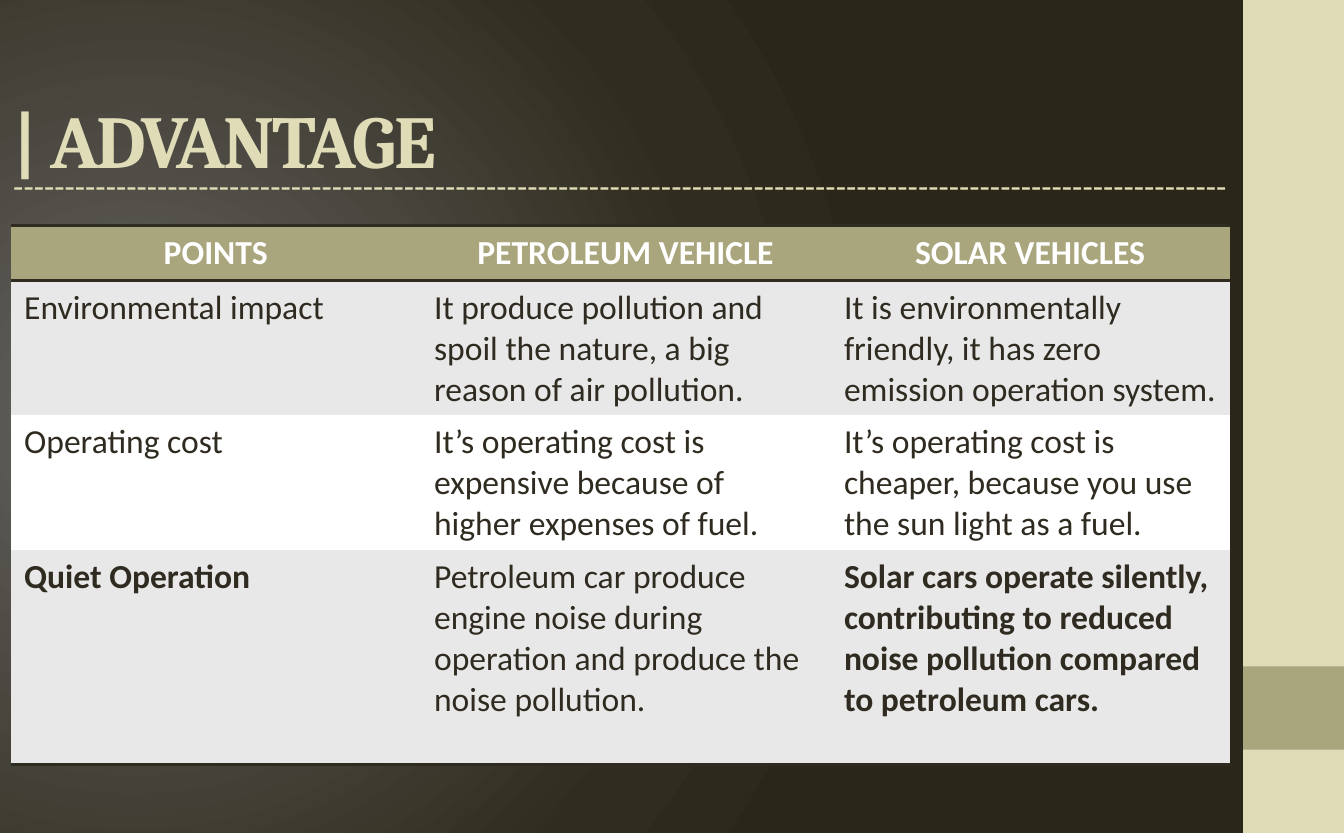
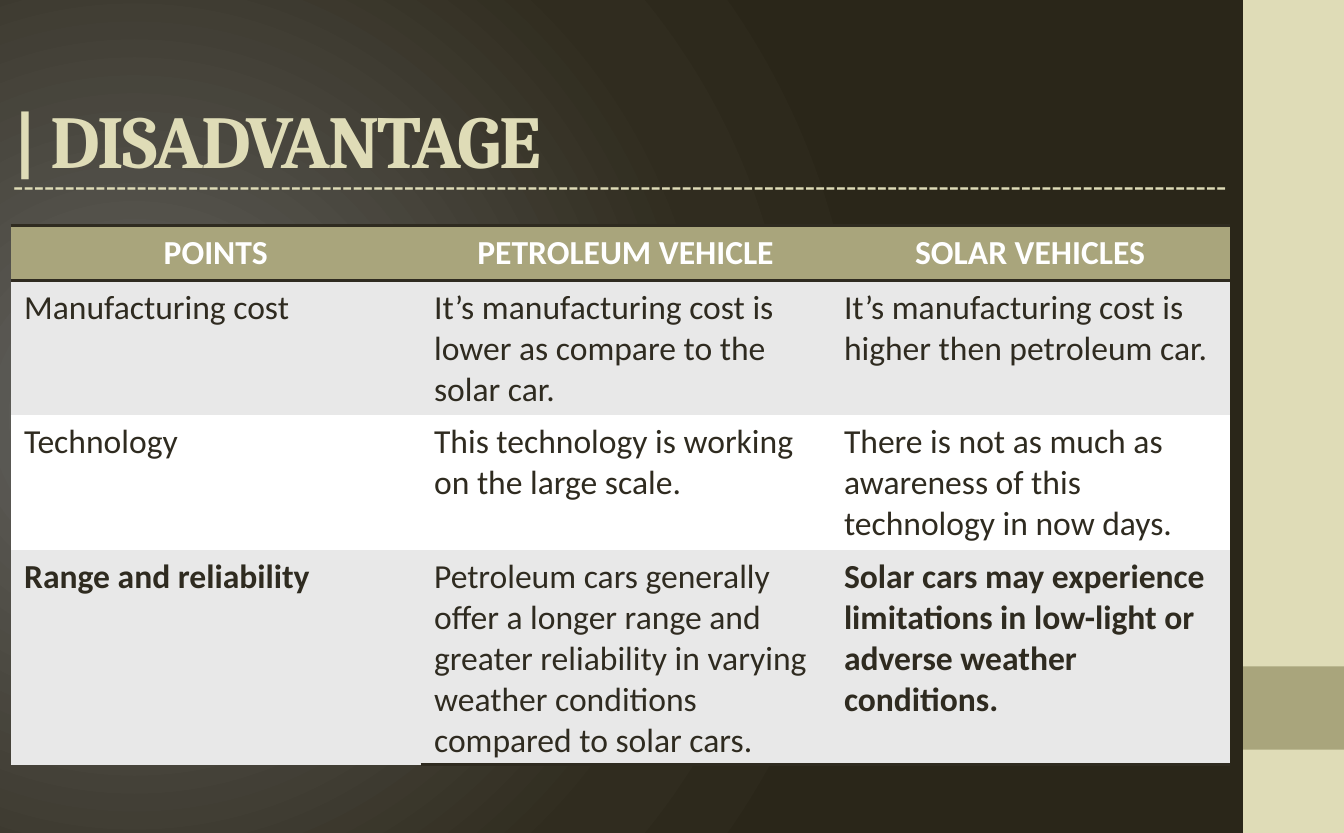
"""Build two slides that compare petroleum and solar vehicles in tables."""
from pptx import Presentation, util as u
from pptx.dml.color import RGBColor
from pptx.enum import shapes, text
from pptx.oxml import parse_xml
from pptx.oxml.ns import nsdecls, qn

PX = 9144
CREAM, OLIVE, DARK = "DFDCB7", "A9A57C", "2F2B20"
GREY, WHITE = "E8E8E8", "FFFFFF"
COLS = [305, 305, 297]
ROWS = [41, 100, 100, 160]
HEAD = ["POINTS", "PETROLEUM VEHICLE", "SOLAR VEHICLES"]
BANDS = [(0, 620, CREAM), (496, 62, OLIVE)]
FILLS = [OLIVE, GREY, WHITE, GREY]
BOLD = {(0, 0), (0, 1), (0, 2), (3, 0), (3, 2)}
EDGES = {0: ["lnB", "lnT"], 3: ["lnB"]}

DECK = [
    ("| ADVANTAGE", [
        ["Environmental impact",
         "It produce pollution and spoil the nature, a big reason of air pollution.",
         "It is environmentally friendly, it has zero emission operation system."],
        ["Operating cost",
         "It’s operating cost is expensive because of higher expenses of fuel.",
         "It’s operating cost is cheaper, because you use the sun light as a fuel."],
        ["Quiet Operation",
         "Petroleum car produce engine noise during operation and produce the noise pollution.",
         "Solar cars operate silently, contributing to reduced noise pollution compared to petroleum cars."],
    ], set()),
    ("| DISADVANTAGE", [
        ["Manufacturing cost",
         "It’s manufacturing cost is lower as compare to the solar car.",
         "It’s manufacturing cost is higher then petroleum car."],
        ["Technology",
         "This technology is working on the large scale.",
         "There is not as much as awareness of this technology in now days."],
        ["Range and reliability",
         "Petroleum cars generally offer a longer range and greater reliability in varying weather conditions compared to solar cars.",
         "Solar cars may experience limitations in low-light or adverse weather conditions."],
    ], {(3, 0)}),
]


def paint(fill, tone):
    fill.solid()
    fill.fore_color.rgb = RGBColor.from_string(tone)


def write(frame, words, size, face, tone, bold=False, align=text.PP_ALIGN.LEFT):
    frame.text = words
    para = frame.paragraphs[0]
    para.alignment = align
    font = para.runs[0].font
    font.size, font.name, font.bold = u.Pt(size), face, bold
    paint(font.fill, tone)
    return font


deck = Presentation()
deck.slide_width, deck.slide_height = 1000 * PX, 620 * PX

back = deck.slide_master
back.background.fill.gradient()
grad = back.element.find(".//" + qn("a:gradFill"))
stops = "".join(
    f'<a:gs pos="{pos}000"><a:srgbClr val="{tone}"/></a:gs>'
    for pos, tone in [(0, "656461"), (75, "302C1F"), (100, "2A2619")])
grad.getparent().replace(grad, parse_xml(
    f'<a:gradFill {nsdecls("a")} rotWithShape="1"><a:gsLst>{stops}</a:gsLst>'
    '<a:path path="circle"><a:fillToRect l="20000" t="50000" r="100000" b="50000"/>'
    '</a:path></a:gradFill>'))

for name, body, bare in DECK:
    slide = deck.slides.add_slide(deck.slide_layouts[5])
    for top, tall, tone in BANDS:
        band = slide.shapes.add_shape(
            shapes.MSO_SHAPE.RECTANGLE, 925 * PX, top * PX, 75 * PX, tall * PX)
        band.shadow.inherit = False
        paint(band.fill, tone)
        band.line.fill.background()

    title = slide.shapes.title
    title.left, title.top, title.width, title.height = 0, 52 * PX, 925 * PX, 103 * PX
    frame = title.text_frame
    font = write(frame, name, 40, "Cambria", CREAM, True)
    frame.vertical_anchor = text.MSO_ANCHOR.MIDDLE
    frame.auto_size = text.MSO_AUTO_SIZE.NONE
    font._element.set("spc", "-100")

    rule = slide.shapes.add_textbox(0, 118 * PX, 925 * PX, 40 * PX).text_frame
    rule.word_wrap = True
    rule.auto_size = text.MSO_AUTO_SIZE.SHAPE_TO_FIT_TEXT
    write(rule, "-" * 118, 18, "Calibri", CREAM)

    grid = slide.shapes.add_table(
        len(ROWS), len(COLS), 8 * PX, 168 * PX, sum(COLS) * PX, sum(ROWS) * PX).table
    style = grid._tbl.tblPr.find(qn("a:tableStyleId"))
    style.text = "{2D5ABB26-0587-4C30-8999-92F81FD0307C}"
    for col, wide in zip(grid.columns, COLS):
        col.width = wide * PX
    for r, (tall, line) in enumerate(zip(ROWS, [HEAD] + body)):
        grid.rows[r].height = tall * PX
        for c, words in enumerate(line):
            cell = grid.cell(r, c)
            tone = DARK if r else WHITE
            align = text.PP_ALIGN.LEFT if r else text.PP_ALIGN.CENTER
            write(cell.text_frame, words, 18, "Calibri", tone, (r, c) in BOLD, align)
            paint(cell.fill, FILLS[r])
            if (r, c) in bare:
                continue
            for edge in EDGES.get(r, []):
                cell._tc.get_or_add_tcPr().insert(0, parse_xml(
                    f'<a:{edge} {nsdecls("a")} w="25400"><a:solidFill>'
                    f'<a:srgbClr val="{DARK}"/></a:solidFill></a:{edge}>'))

deck.save("out.pptx")
